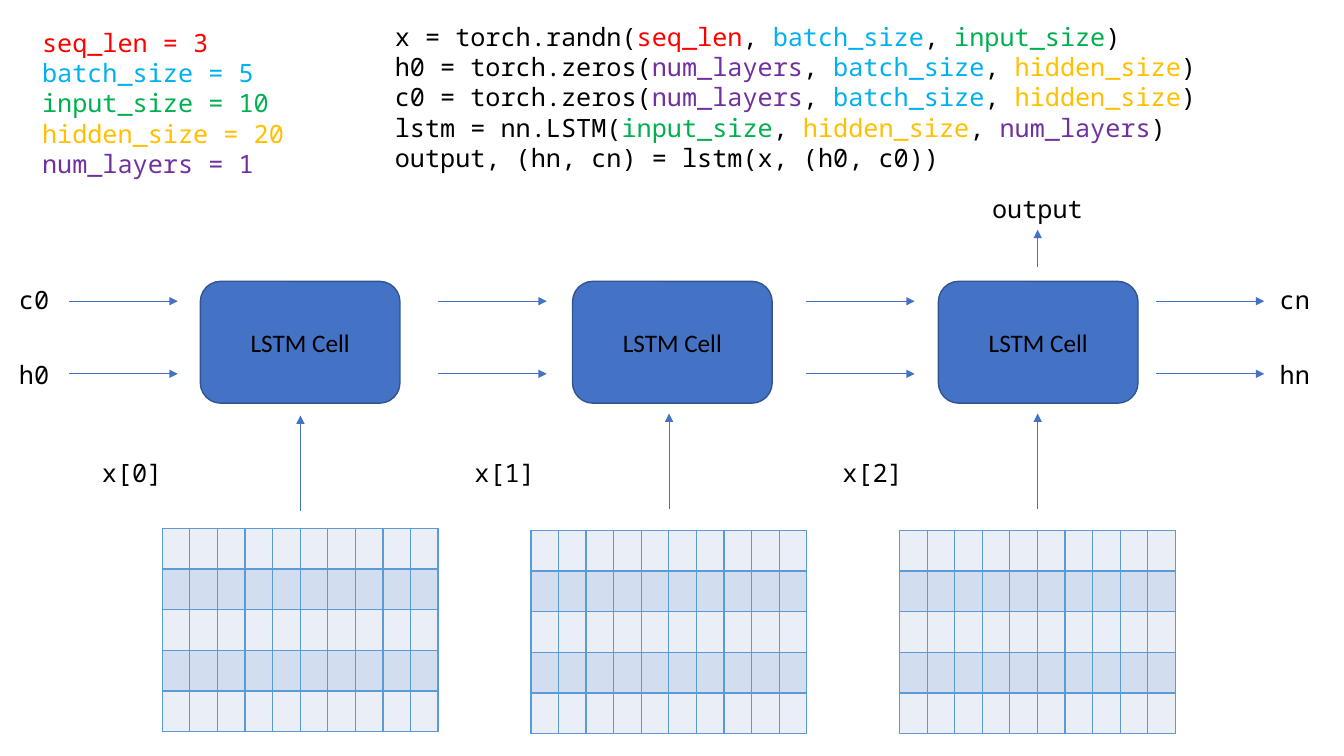
"""Build a slide that unrolls an LSTM over three time steps."""
from dataclasses import dataclass, field

from lxml.etree import SubElement
from pptx import Presentation
from pptx.dml.color import RGBColor
from pptx.enum.shapes import MSO_CONNECTOR, MSO_SHAPE
from pptx.enum.text import MSO_ANCHOR, MSO_AUTO_SIZE, PP_ALIGN
from pptx.oxml.ns import qn
from pptx.util import Cm, Pt


@dataclass(frozen=True)
class Theme:
    ink: str = "000000"
    cell_fill: str = "4472C4"
    cell_line: str = "325491"
    arrow: str = "4472C4"
    grid: str = "5B9BD5"
    bands: tuple = ("EAEFF7", "D2DEEF")
    code_font: str = "Noto Sans Mono"
    cell_font: str = "Calibri"
    size: int = 18
    variables: dict = field(default_factory=lambda: {
        "seq_len": "FF0000",
        "batch_size": "00B0F0",
        "input_size": "00B050",
        "hidden_size": "FFC000",
        "num_layers": "7030A0",
    })


THEME = Theme()
BATCH_SIZE, INPUT_SIZE = 5, 10
STEP = 9.29
STATE_ROWS = (("c0", "cn", 7.04, 7.59), ("h0", "hn", 8.92, 9.42))
STATE_ARROWS = (1.75, 11.05, 20.32, 29.13)

SETTINGS = (
    ("seq_len = 3", "\n", "batch_size = 5"),
    ("input_size = 10",),
    ("hidden_size = 20",),
    ("num_layers = 1",),
)
STATE_SHAPE = ("num_layers", ", ", "batch_size", ", ", "hidden_size", ")")
CODE = (
    ("x = torch.randn(", "seq_len", ", ", "batch_size", ", ", "input_size", ")"),
    ("h0 = torch.zeros(",) + STATE_SHAPE,
    ("c0 = torch.zeros(",) + STATE_SHAPE,
    ("lstm = nn.LSTM(", "input_size", ", ", "hidden_size", ", ", "num_layers", ")"),
    ("output, (hn, cn) = lstm(x, (h0, c0))",),
)


def rgb(value):
    return RGBColor.from_string(value)


def add_run(p, text, font):
    """Add a run, coloured by the variable it starts with."""
    r = p.add_run()
    r.text = text
    r.font.name = font
    r.font.size = Pt(THEME.size)
    r.font.color.rgb = rgb(THEME.variables.get(text.split()[0], THEME.ink))


def add_code(s, left, top, width, height, lines, align=PP_ALIGN.LEFT):
    """Add a monospaced text box with one paragraph per line."""
    sp = s.shapes.add_textbox(Cm(left), Cm(top), Cm(width), Cm(height))
    tf = sp.text_frame
    tf.word_wrap = True
    tf.auto_size = MSO_AUTO_SIZE.SHAPE_TO_FIT_TEXT
    for i, tokens in enumerate(lines):
        p = tf.add_paragraph() if i else tf.paragraphs[0]
        p.alignment = align
        for token in tokens:
            if token == "\n":
                p.add_line_break()
            else:
                add_run(p, token, THEME.code_font)


def add_label(s, left, top, width, text):
    """Add a centred one-line label."""
    add_code(s, left, top, width, 1.02, ((text,),), PP_ALIGN.CENTER)


def add_cell(s, left):
    """Add one LSTM cell."""
    sp = s.shapes.add_shape(
        MSO_SHAPE.ROUNDED_RECTANGLE, Cm(left), Cm(7.09), Cm(5.03), Cm(3.07))
    sp.shadow.inherit = False
    sp.fill.solid()
    sp.fill.fore_color.rgb = rgb(THEME.cell_fill)
    sp.line.color.rgb = rgb(THEME.cell_line)
    sp.line.width = Pt(1)
    tf = sp.text_frame
    tf.vertical_anchor = MSO_ANCHOR.MIDDLE
    p = tf.paragraphs[0]
    p.alignment = PP_ALIGN.CENTER
    add_run(p, "LSTM Cell", THEME.cell_font)


def add_arrow(s, x1, y1, x2, y2):
    """Add a thin arrow pointing at the second point."""
    cxn = s.shapes.add_connector(
        MSO_CONNECTOR.STRAIGHT, Cm(x1), Cm(y1), Cm(x2), Cm(y2))
    cxn.line.color.rgb = rgb(THEME.arrow)
    cxn.line.width = Pt(0.5)
    SubElement(cxn.line._get_or_add_ln(), qn("a:tailEnd"), type="triangle")
    SubElement(cxn._element.spPr, qn("a:effectLst"))


def add_border(cell):
    """Draw all four borders of a table cell."""
    tcPr = cell._tc.get_or_add_tcPr()
    for side in ("a:lnL", "a:lnR", "a:lnT", "a:lnB"):
        ln = SubElement(tcPr, qn(side), w=str(Pt(1)))
        SubElement(SubElement(ln, qn("a:solidFill")), qn("a:srgbClr"), val=THEME.grid)


def add_batch(s, left, top):
    """Add the banded grid of one input batch."""
    table = s.shapes.add_table(
        BATCH_SIZE, INPUT_SIZE, Cm(left), Cm(top), Cm(6.95), Cm(5.13)).table
    table.first_row = False
    for i, row in enumerate(table.rows):
        for cell in row.cells:
            add_border(cell)
            cell.fill.solid()
            cell.fill.fore_color.rgb = rgb(THEME.bands[i % 2])


def add_time_step(s, i, cell_left, label_left, drop):
    """Add a cell with its input batch, label and arrow."""
    x = 7.57 + i * STEP
    add_batch(s, 4.09 + i * STEP, 13.31 + drop)
    add_cell(s, cell_left)
    add_arrow(s, x, 12.88 - drop, x, 10.47 - drop)
    add_label(s, label_left, 11.4, 2.74, f"x[{i}]")


def add_states(s):
    """Add the state names and the arrows that carry them."""
    for first, last, label_top, arrow_y in STATE_ROWS:
        add_label(s, -0.51, label_top, 2.74, first)
        add_label(s, 31.88, label_top, 1.5, last)
        for x in STATE_ARROWS:
            add_arrow(s, x, arrow_y, x + 2.73, arrow_y)


def main():
    prs = Presentation()
    prs.slide_width, prs.slide_height = Cm(33.87), Cm(19.05)
    s = prs.slides.add_slide(prs.slide_layouts[6])
    add_code(s, 9.7, 0.41, 24.16, 4.11, CODE)
    add_code(s, 0.81, 0.56, 10.54, 4.11, SETTINGS)
    steps = ((5.05, 1.96, 0), (14.43, 11.35, 0.05), (23.65, 20.62, 0.05))
    for i, (cell_left, label_left, drop) in enumerate(steps):
        add_time_step(s, i, cell_left, label_left, drop)
    add_states(s)
    add_arrow(s, 26.15, 6.73, 26.15, 5.79)
    add_label(s, 24.28, 4.75, 3.73, "output")
    prs.save("out.pptx")


if __name__ == "__main__":
    main()
